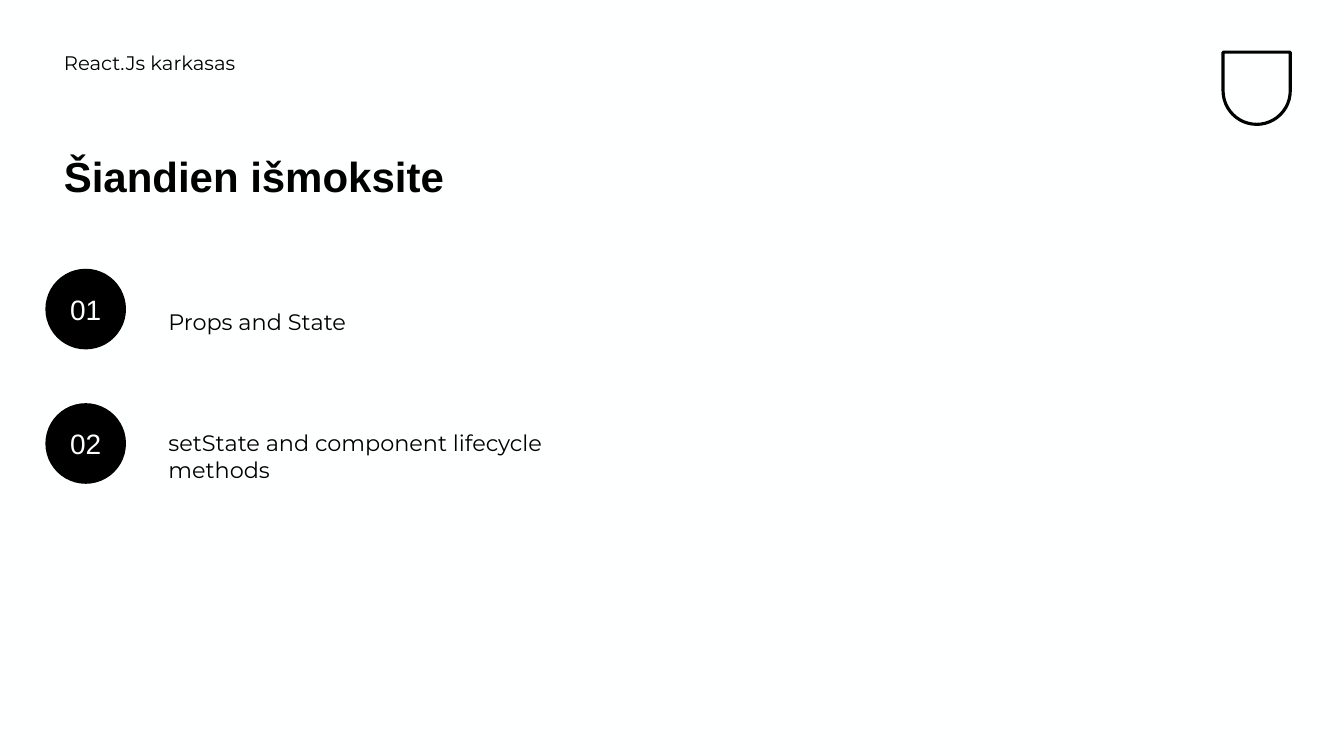
import dataclasses

import pptx
import pptx.dml.color
import pptx.enum.shapes
import pptx.enum.text
import pptx.oxml.xmlchemy
import pptx.util

BLACK = pptx.dml.color.RGBColor(0x00, 0x00, 0x00)
PAPER = pptx.dml.color.RGBColor(0xFE, 0xFF, 0xFF)
HEADING_FONT = "Arial"
BODY_FONT = "Montserrat"
SLIDE_WIDTH = pptx.util.Inches(13.33)
SLIDE_HEIGHT = pptx.util.Inches(7.5)
COLUMN = SLIDE_WIDTH / 160
ROW = SLIDE_HEIGHT / 90
TOPIC_STEP = 16
TOPICS = ("Props and State", "setState and component lifecycle methods")
Anchor = pptx.enum.text.MSO_ANCHOR
Align = pptx.enum.text.PP_ALIGN
Shape = pptx.enum.shapes.MSO_SHAPE


@dataclasses.dataclass(frozen=True)
class Area:
    """A rectangle in grid columns and rows."""

    left: float
    top: float
    width: float
    height: float

    def lengths(self) -> tuple[int, int, int, int]:
        """Return left, top, width and height as slide lengths."""
        return (round(self.left * COLUMN), round(self.top * ROW),
                round(self.width * COLUMN), round(self.height * ROW))


@dataclasses.dataclass(frozen=True)
class Style:
    """The look of one line of text."""

    font: str
    size: int
    color: pptx.dml.color.RGBColor = BLACK
    bold: bool = False
    align: Align = Align.LEFT
    anchor: Anchor = Anchor.TOP
    spacing: float = 1.0


HEADER = Style(BODY_FONT, 14, spacing=0.8)
TITLE = Style(HEADING_FONT, 30, bold=True, spacing=0.9)
TOPIC = Style(BODY_FONT, 16, anchor=Anchor.MIDDLE)
NUMBER = Style(HEADING_FONT, 20, PAPER, align=Align.CENTER, anchor=Anchor.MIDDLE)


def write(box, text: str, style: Style) -> None:
    """Put one unbulleted paragraph into a shape."""
    frame = box.text_frame
    frame.text = text
    frame.word_wrap = True
    frame.auto_size = pptx.enum.text.MSO_AUTO_SIZE.NONE
    frame.vertical_anchor = style.anchor
    para = frame.paragraphs[0]
    para.alignment = style.align
    para.line_spacing = style.spacing
    para.space_before = pptx.util.Pt(0)
    properties = para._p.get_or_add_pPr()
    properties.set("marL", "0")
    properties.set("indent", "0")
    properties.append(pptx.oxml.xmlchemy.OxmlElement("a:buNone"))
    para.font.name = style.font
    para.font.size = pptx.util.Pt(style.size)
    para.font.bold = style.bold
    para.font.color.rgb = style.color


def fill_placeholder(holder, area: Area, text: str, style: Style) -> None:
    """Move a placeholder and write its text."""
    holder.left, holder.top, holder.width, holder.height = area.lengths()
    write(holder, text, style)


def add_badge(page, area: Area, text: str) -> None:
    """Draw a numbered black circle."""
    circle = page.shapes.add_shape(Shape.OVAL, *area.lengths())
    circle.shadow.inherit = False
    circle.fill.solid()
    circle.fill.fore_color.rgb = BLACK
    circle.line.fill.background()
    write(circle, text, NUMBER)


def add_shield(page, area: Area) -> None:
    """Draw a plain outlined shield in the corner."""
    shield = page.shapes.add_shape(Shape.ROUND_2_SAME_RECTANGLE, *area.lengths())
    shield.adjustments[0] = 0.5
    shield.rotation = 180
    shield.shadow.inherit = False
    shield.fill.background()
    shield.line.color.rgb = BLACK
    shield.line.width = pptx.util.Pt(2.25)


def main() -> None:
    """Build and save the slide."""
    deck = pptx.Presentation()
    deck.slide_width, deck.slide_height = SLIDE_WIDTH, SLIDE_HEIGHT
    page = deck.slides.add_slide(deck.slide_layouts.get_by_name("Comparison"))
    page.background.fill.solid()
    page.background.fill.fore_color.rgb = PAPER

    title, header, *topic_holders = page.placeholders
    add_shield(page, Area(145.6, 6.2, 8, 8.6))
    fill_placeholder(header, Area(6.4, 6, 73.7, 6), "React.Js karkasas", HEADER)
    fill_placeholder(title, Area(6.4, 18, 67.7, 17.9), "Šiandien išmoksite", TITLE)
    for index, (topic, holder) in enumerate(zip(TOPICS, topic_holders)):
        offset = index * TOPIC_STEP
        add_badge(page, Area(5.4, 32 + offset, 9.6, 9.6), f"{index + 1:02}")
        fill_placeholder(holder, Area(18.85, 33.5 + offset, 55.6, 9.6), topic, TOPIC)
    for unused in topic_holders[len(TOPICS):]:
        unused.element.getparent().remove(unused.element)
    deck.save("out.pptx")


if __name__ == "__main__":
    main()
